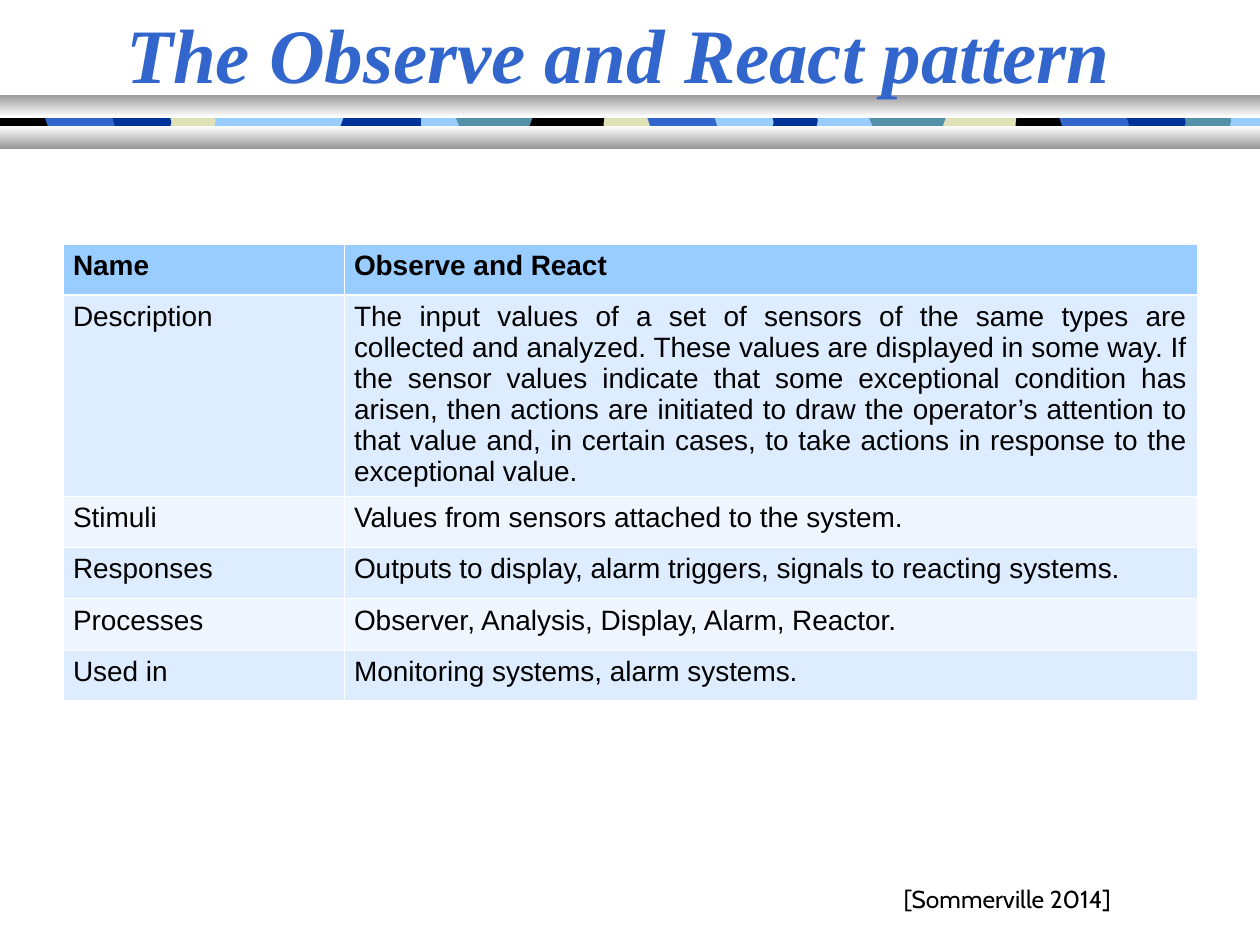
"""Build the slide on the Observe and React pattern."""
from dataclasses import dataclass

from lxml import etree
from pptx import Presentation
from pptx import util as u
from pptx.dml import color
from pptx.enum import shapes, text
from pptx.oxml import ns

INK, WHITE, GREY = "000000", "FFFFFF", "999999"
SKY, BLUE, NAVY, TEAL, SAND = "99CCFF", "3366CC", "003399", "5490A8", "E1E1B7"
RIBBON_TOP = 0.85

OUTLINES = {
    "base": [(0, 0), (9.97, 0), (9.97, 0.28), (0, 0.28)],
    "end": [(0, 0.28), (0, 0), (0.51, 0), (0.48, 0.11), (0.49, 0.19), (0.51, 0.28)],
    "wave": [(0.63, 0.28), (0, 0.28), (0.03, 0.16), (0, 0.09), (-0.03, 0.03), (0, 0), (0.63, 0)],
    "leaf": [(0.63, 0.28), (0, 0.28), (-0.03, 0.23), (-0.01, 0.16), (0.02, 0.08), (0, 0), (0.63, 0)],
    "slab": [(0.43, 0.28), (0, 0.28), (-0.05, 0.22), (-0.06, 0.14), (-0.05, 0.06), (0, 0),
             (0.43, 0), (0.4, 0.11), (0.41, 0.19)],
    "chip": [(0.63, 0.28), (0, 0.28), (0.05, 0.23), (0.07, 0.18), (0.04, 0.09), (0, 0), (0.63, 0)],
    "tile": [(0.41, 0.28), (0, 0.28), (-0.03, 0.25), (0, 0.18), (-0.03, 0.07), (0, 0),
             (0.41, 0), (0.44, 0.12), (0.41, 0.24)],
    "cap": [(0.33, 0.28), (0, 0.28), (-0.04, 0.14), (0, 0), (0.33, 0), (0.37, 0.04),
            (0.38, 0.11), (0.36, 0.2)],
}


@dataclass
class Piece:
    """One coloured piece of the ribbon."""
    outline: str
    left: float
    fill: str


@dataclass
class Row:
    """One row of the pattern table."""
    label: str
    content: str
    height: float
    fill: str
    space_before: int = 0


PIECES = [
    Piece("base", 0.03, SKY),
    Piece("wave", 6.9, TEAL), Piece("leaf", 7.49, SAND), Piece("cap", 9.39, TEAL),
    Piece("slab", 8.12, INK), Piece("chip", 8.37, BLUE), Piece("tile", 8.97, NAVY),
    Piece("wave", 3.62, TEAL), Piece("leaf", 4.21, INK), Piece("cap", 6.11, NAVY),
    Piece("slab", 4.85, SAND), Piece("chip", 5.1, BLUE), Piece("tile", 5.7, SKY),
    Piece("wave", 2.12, SKY), Piece("leaf", 2.71, NAVY), Piece("cap", 1.33, SAND),
    Piece("end", 0, INK), Piece("chip", 0.32, BLUE), Piece("tile", 0.92, NAVY),
]

ROWS = [
    Row("Name", "Observe and React", 0.4, SKY, 3),
    Row("Description",
        "The input values of a set of sensors of the same types are collected and analyzed. "
        "These values are displayed in some way. If the sensor values indicate that some "
        "exceptional condition has arisen, then actions are initiated to draw the operator’s "
        "attention to that value and, in certain cases, to take actions in response to the "
        "exceptional value.", 1.6, "DEECFF", 3),
    Row("Stimuli", "Values from sensors attached to the system.", 0.4, "EFF6FF"),
    Row("Responses", "Outputs to display, alarm triggers, signals to reacting systems.", 0.41, "DEECFF"),
    Row("Processes", "Observer, Analysis, Display, Alarm, Reactor.", 0.41, "EFF6FF"),
    Row("Used in", "Monitoring systems, alarm systems.", 0.4, "DEECFF"),
]


def rgb(value: str) -> color.RGBColor:
    """Turn a hex string into a colour."""
    return color.RGBColor.from_string(value)


def style_font(font, name: str, size: int, fill: str, bold: bool = False, italic: bool = False) -> None:
    """Format a font."""
    font.name, font.size, font.bold, font.italic = name, u.Pt(size), bold, italic
    font.color.rgb = rgb(fill)


def draw_piece(slide, piece: Piece) -> None:
    """Draw one ribbon piece."""
    points = [(u.Inches(piece.left + x), u.Inches(RIBBON_TOP + y)) for x, y in OUTLINES[piece.outline]]
    builder = slide.shapes.build_freeform(*points[0])
    builder.add_line_segments(points[1:], close=True)
    shape = builder.convert_to_shape()
    shape.shadow.inherit = False
    shape.fill.solid()
    shape.fill.fore_color.rgb = rgb(piece.fill)
    shape.line.fill.background()


def draw_bar(slide, top: float, start: str, end: str) -> None:
    """Draw a full-width bar shaded from top to bottom."""
    shape = slide.shapes.add_shape(
        shapes.MSO_SHAPE.RECTANGLE, 0, u.Inches(top), u.Inches(10), u.Inches(0.18))
    shape.shadow.inherit = False
    shape.line.fill.background()
    shape.fill.gradient()
    shape.fill.gradient_angle = 270
    for stop, position, value in zip(shape.fill.gradient_stops, (0, 1), (start, end)):
        stop.position = position
        stop.color.rgb = rgb(value)


def write_title(slide, title: str) -> None:
    """Fill the title placeholder and bring it above the ribbon."""
    shape = slide.shapes.title
    shape.left, shape.top, shape.width, shape.height = map(u.Inches, (0, 0, 9.97, 0.83))
    frame = shape.text_frame
    frame.text = title
    frame.auto_size = text.MSO_AUTO_SIZE.NONE
    frame.vertical_anchor = text.MSO_ANCHOR.MIDDLE
    paragraph = frame.paragraphs[0]
    paragraph.alignment = text.PP_ALIGN.CENTER
    style_font(paragraph.font, "Times New Roman", 44, BLUE, True, True)
    slide.shapes.element.append(shape.element)


def add_border(cell, side: str, width: float) -> None:
    """Give one side of a cell a white line."""
    properties = cell._tc.get_or_add_tcPr()
    line = etree.SubElement(properties, ns.qn(f"a:ln{side}"), w=str(u.Pt(width)))
    fill = etree.SubElement(line, ns.qn("a:solidFill"))
    etree.SubElement(fill, ns.qn("a:srgbClr"), val=WHITE)


def fill_cell(cell, content: str, row: Row, index: int) -> None:
    """Write and format one table cell."""
    widths = {"L": 0.45, "R": 0.45, "T": 1.47 if index == 1 else 0.45, "B": 1.47 if index == 0 else 0.45}
    for side, width in widths.items():
        add_border(cell, side, width)
    cell.fill.solid()
    cell.fill.fore_color.rgb = rgb(row.fill)
    cell.margin_left = cell.margin_right = u.Inches(0.08)
    cell.margin_top = cell.margin_bottom = u.Inches(0.05)
    cell.text = content
    paragraph = cell.text_frame.paragraphs[0]
    paragraph.alignment = text.PP_ALIGN.JUSTIFY
    paragraph.space_before, paragraph.space_after = u.Pt(row.space_before), u.Pt(3)
    style_font(paragraph.font, "Arial", 16, INK, bold=index == 0)


def draw_table(slide, rows: list[Row]) -> None:
    """Draw the pattern table."""
    height = sum(row.height for row in rows)
    table = slide.shapes.add_table(
        len(rows), 2, u.Inches(0.5), u.Inches(1.94), u.Inches(9), u.Inches(height)).table
    for column, width in zip(table.columns, (2.23, 6.77)):
        column.width = u.Inches(width)
    for index, row in enumerate(rows):
        table.rows[index].height = u.Inches(row.height)
        for position, content in enumerate((row.label, row.content)):
            fill_cell(table.cell(index, position), content, row, index)


def write_citation(slide, citation: str) -> None:
    """Write the citation at the lower right."""
    box = slide.shapes.add_textbox(*map(u.Inches, (6.41, 6.8, 3.17, 0.5)))
    frame = box.text_frame
    frame.word_wrap = True
    frame.vertical_anchor = text.MSO_ANCHOR.BOTTOM
    frame.text = citation
    paragraph = frame.paragraphs[0]
    paragraph.alignment = text.PP_ALIGN.CENTER
    style_font(paragraph.font, "Cabin", 14, INK)


def main() -> None:
    """Build and save the presentation."""
    presentation = Presentation()
    presentation.slide_width, presentation.slide_height = u.Inches(10), u.Inches(7.5)
    slide = presentation.slides.add_slide(presentation.slide_layouts[5])
    for piece in PIECES:
        draw_piece(slide, piece)
    draw_bar(slide, 0.75, GREY, WHITE)
    draw_bar(slide, 1, WHITE, GREY)
    write_title(slide, "The Observe and React pattern ")
    draw_table(slide, ROWS)
    write_citation(slide, "[Sommerville 2014]")
    presentation.save("out.pptx")


if __name__ == "__main__":
    main()
